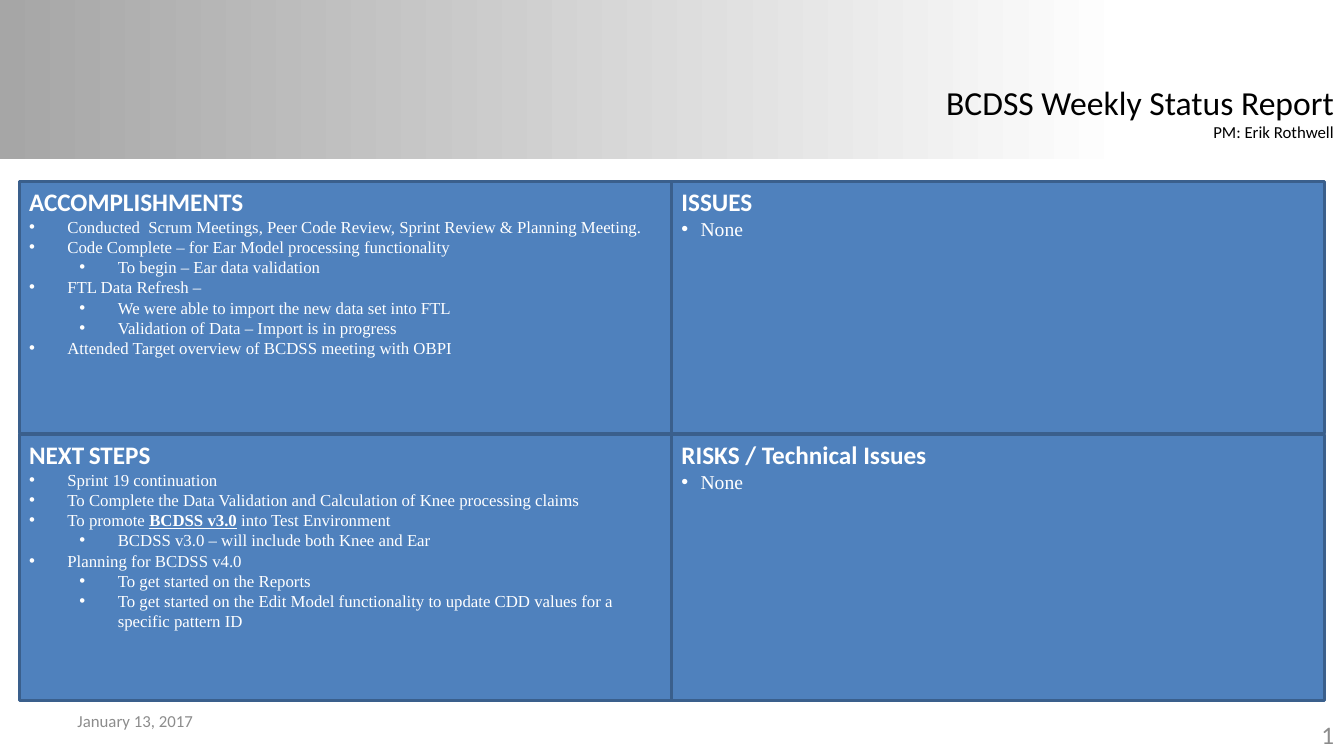
"""Build the BCDSS weekly status slide: a title band above four status panels."""
from lxml import etree
from pptx import Presentation
from pptx.dml.color import RGBColor
from pptx.enum.shapes import MSO_SHAPE
from pptx.enum.text import MSO_ANCHOR, MSO_AUTO_SIZE, PP_ALIGN
from pptx.oxml.ns import qn
from pptx.util import Inches, Pt

RECTANGLE = MSO_SHAPE.RECTANGLE
TOP, MIDDLE = MSO_ANCHOR.TOP, MSO_ANCHOR.MIDDLE
LEFT, RIGHT = PP_ALIGN.LEFT, PP_ALIGN.RIGHT
FIXED = MSO_AUTO_SIZE.NONE

COLORS = {"band": "A6A6A6", "white": "FFFFFF", "panel": "4F81BD",
          "border": "3A5F8C", "title": "000000", "footer": "8C8C8C"}
HEADING, BODY = "Calibri", "Times New Roman"
WIDTH, HEIGHT = 13.33, 7.5
COLUMNS = [(0.19, 6.47), (6.66, 6.48)]
ROWS = [(1.8, 2.5), (4.31, 2.64)]
LEVEL_STEP = 0.5


def add_span(para, text, size=12, font=HEADING, color="white", bold=False, underline=False):
    """Append one formatted run to a paragraph."""
    span = para.add_run()
    span.text = text
    span.font.size = Pt(size)
    span.font.name = font
    span.font.bold = bold
    span.font.underline = underline
    span.font.color.rgb = RGBColor.from_string(COLORS[color])
    return span


def add_bullet(frame, level, indent):
    """Append a bulleted paragraph with a hanging indent in inches."""
    para = frame.add_paragraph()
    para.level = level
    para.alignment = LEFT
    properties = para._p.get_or_add_pPr()
    properties.set("marL", str(Inches(indent + level * LEVEL_STEP)))
    properties.set("indent", str(-Inches(indent)))
    etree.SubElement(properties, qn("a:buFont"), typeface="Arial")
    etree.SubElement(properties, qn("a:buChar"), char="•")
    return para


deck = Presentation()
deck.slide_width, deck.slide_height = Inches(WIDTH), Inches(HEIGHT)
page = deck.slides.add_slide(deck.slide_layouts[5])

band = page.shapes.add_shape(RECTANGLE, 0, 0, Inches(WIDTH), Inches(1.58))
band.shadow.inherit = False
band.line.fill.background()
band.fill.gradient()
band.fill.gradient_angle = 0
for stop, (position, color) in zip(band.fill.gradient_stops, [(0, "band"), (0.84, "white")]):
    stop.position = position
    stop.color.rgb = RGBColor.from_string(COLORS[color])

title = page.shapes.title
title.element.addprevious(band.element)
title.left, title.top = Inches(9.25), Inches(0.76)
title.width, title.height = Inches(4.08), Inches(0.71)
frame = title.text_frame
frame.word_wrap = False
frame.auto_size = FIXED
frame.vertical_anchor = TOP
for text, size in [("BCDSS Weekly Status Report", 24), ("PM: Erik Rothwell", 12)]:
    para = frame.paragraphs[0] if size == 24 else frame.add_paragraph()
    para.alignment = RIGHT
    add_span(para, text, size=size, color="title")

PANELS = [
    (0, 0, [("ACCOMPLISHMENTS", 18)], 12, 0.38, [
        (0, ["Conducted  Scrum Meetings, Peer Code Review, Sprint Review & Planning Meeting."]),
        (0, ["Code Complete – for Ear Model processing functionality"]),
        (1, ["To begin – Ear data validation"]),
        (0, ["FTL Data Refresh –"]),
        (1, ["We were able to import the new data set into FTL"]),
        (1, ["Validation of Data – Import is in progress"]),
        (0, ["Attended Target overview of BCDSS meeting with OBPI"]),
    ]),
    (0, 1, [("NEXT", 18), (" ", 14), ("STEPS", 18)], 12, 0.38, [
        (0, ["Sprint 19 continuation"]),
        (0, ["To Complete the Data Validation and Calculation of Knee processing claims"]),
        (0, ["To promote ", "BCDSS v3.0", " into Test Environment"]),
        (1, ["BCDSS v3.0 – will include both Knee and Ear"]),
        (0, ["Planning for BCDSS v4.0"]),
        (1, ["To get started on the Reports"]),
        (1, ["To get started on the Edit Model functionality to update CDD values "
             "for a specific pattern ID"]),
    ]),
    (1, 0, [("ISSUES", 18)], 14, 0.19, [(0, ["None"])]),
    (1, 1, [("RISKS / Technical Issues", 18)], 14, 0.19, [(0, ["None"])]),
]
for column, row, heading, size, indent, bullets in PANELS:
    (left, width), (top, height) = COLUMNS[column], ROWS[row]
    panel = page.shapes.add_shape(RECTANGLE, Inches(left), Inches(top), Inches(width), Inches(height))
    panel.shadow.inherit = False
    panel.fill.solid()
    panel.fill.fore_color.rgb = RGBColor.from_string(COLORS["panel"])
    panel.line.color.rgb = RGBColor.from_string(COLORS["border"])
    panel.line.width = Pt(2)
    frame = panel.text_frame
    frame.word_wrap = True
    frame.vertical_anchor = TOP
    frame.paragraphs[0].alignment = LEFT
    for text, heading_size in heading:
        add_span(frame.paragraphs[0], text, size=heading_size, bold=True)
    for level, parts in bullets:
        para = add_bullet(frame, level, indent)
        for index, text in enumerate(parts):
            marked = index == 1
            add_span(para, text, size=size, font=BODY, bold=marked, underline=marked)

FOOTERS = [("January 13, 2017", 0.67, 6.95, 12, LEFT), ("1", 10.22, 7.09, 18, RIGHT)]
for text, left, top, size, alignment in FOOTERS:
    box = page.shapes.add_textbox(Inches(left), Inches(top), Inches(3.11), Inches(0.4))
    box.text_frame.word_wrap = True
    box.text_frame.vertical_anchor = MIDDLE
    para = box.text_frame.paragraphs[0]
    para.alignment = alignment
    add_span(para, text, size=size, color="footer")

deck.save("out.pptx")
